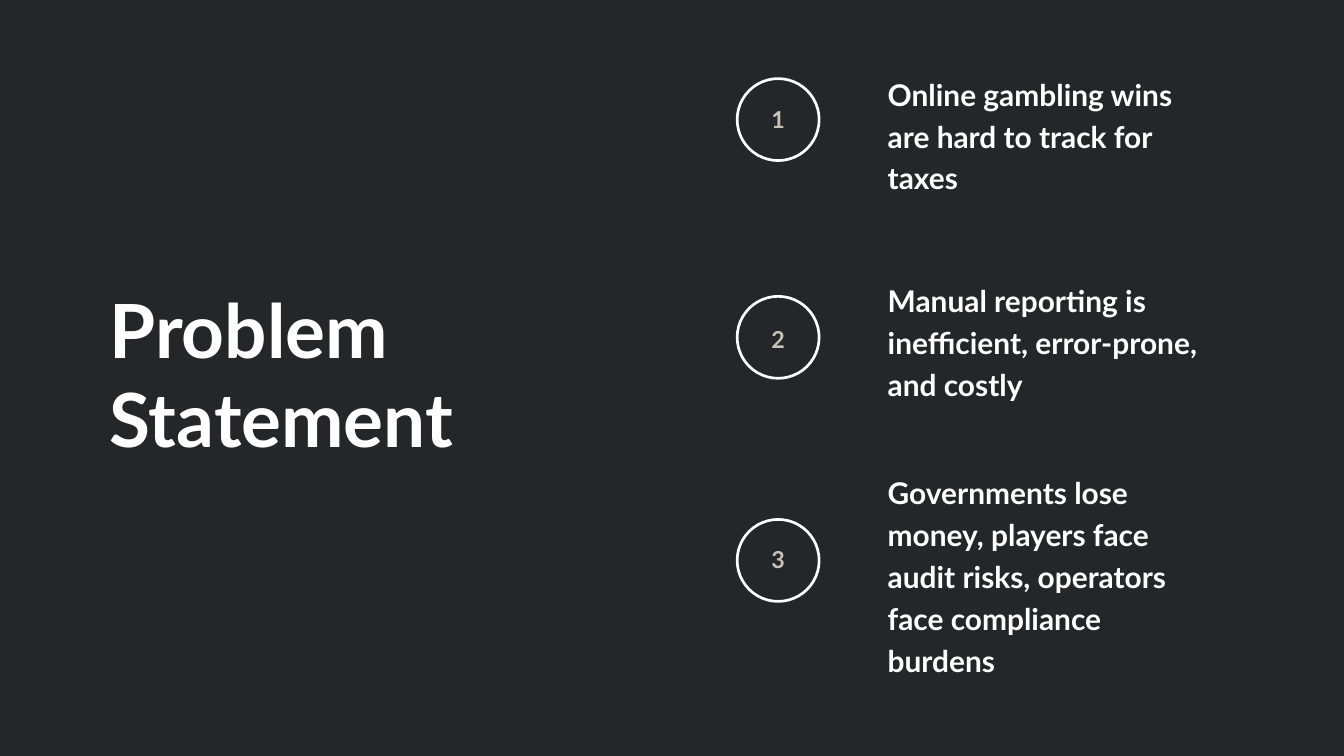
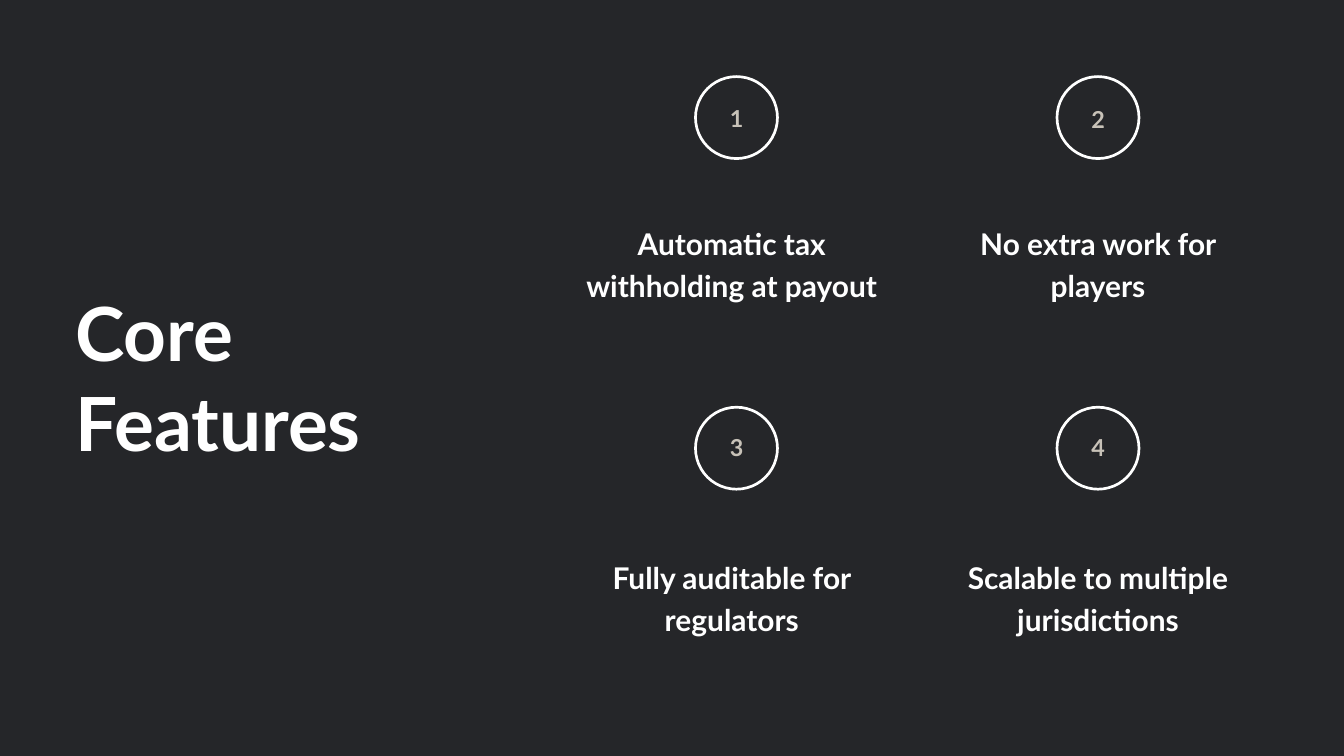
from pptx import Presentation
from pptx import util as u
from pptx.dml.color import RGBColor
from pptx.enum import shapes, text

COLORS = {"background": "252629", "main": "FFFFFF", "number": "C8C2B8"}
FONT = "Lato"
STYLES = {
    "title": {"size": 80, "leading": 96, "color": "main"},
    "statement": {"size": 32, "leading": 44.8, "color": "main"},
    "number": {"size": 25, "leading": 30, "color": "number"},
}
RING, RING_LINE = 1.26, 0.04
NUMBER_WIDTH, NUMBER_HEIGHT = 0.49, 0.43


def add_words(slide, words, style, left, top, width, height, align=text.PP_ALIGN.LEFT):
    look = STYLES[style]
    box = slide.shapes.add_textbox(u.Inches(left), u.Inches(top), u.Inches(width), u.Inches(height))
    frame = box.text_frame
    frame.word_wrap = True
    frame.auto_size = text.MSO_AUTO_SIZE.SHAPE_TO_FIT_TEXT
    frame.margin_left = frame.margin_top = frame.margin_right = frame.margin_bottom = 0
    paragraph = frame.paragraphs[0]
    paragraph.alignment = align
    paragraph.line_spacing = u.Pt(look["leading"])
    run = paragraph.add_run()
    run.text = words
    run.font.name = FONT
    run.font.size = u.Pt(look["size"])
    run.font.bold = True
    run.font.color.rgb = RGBColor.from_string(COLORS[look["color"]])


def add_badge(slide, number, left, top, number_top):
    ring = slide.shapes.add_shape(
        shapes.MSO_SHAPE.DONUT, u.Inches(left), u.Inches(top), u.Inches(RING), u.Inches(RING))
    ring.adjustments[0] = RING_LINE / RING
    ring.shadow.inherit = False
    ring.fill.solid()
    ring.fill.fore_color.rgb = RGBColor.from_string(COLORS["main"])
    ring.line.fill.background()
    add_words(slide, str(number), "number", left + (RING - NUMBER_WIDTH) / 2, number_top,
              NUMBER_WIDTH, NUMBER_HEIGHT, text.PP_ALIGN.CENTER)


deck = Presentation()
deck.slide_width = u.Inches(20)
deck.slide_height = u.Inches(11.25)
blank = deck.slide_layouts[6]
problem, features = [deck.slides.add_slide(blank) for _ in range(2)]
for slide in (problem, features):
    slide.background.fill.solid()
    slide.background.fill.fore_color.rgb = RGBColor.from_string(COLORS["background"])

add_words(problem, "Problem Statement", "title", 1.63, 4.22, 6.97, 2.69)
problems = [
    ("Online gambling wins are hard to track for taxes", 1.05, 1.83, 1.15, 1.57),
    ("Manual reporting is inefficient, error-prone, and costly", 4.12, 1.83, 4.39, 4.84),
    ("Governments lose money, players face audit risks, operators face compliance burdens",
     6.98, 3.06, 7.71, 8.12),
]
for number, (statement, top, height, ring_top, number_top) in enumerate(problems, 1):
    add_words(problem, statement, "statement", 13.21, top, 4.8, height)
    add_badge(problem, number, 10.95, ring_top, number_top)

add_words(features, "Core Features", "title", 1.12, 4.27, 5.74, 2.69)
columns = [(8.7, 10.33), (14.15, 15.71)]
rows = [(3.27, 1.12), (8.24, 6.04)]
feature_list = [
    ("Automatic tax withholding at payout", 1.55),
    ("No extra work for players", 1.57),
    ("Fully auditable for regulators", 6.44),
    ("Scalable to multiple jurisdictions", 6.44),
]
for index, (feature, number_top) in enumerate(feature_list):
    row, column = divmod(index, len(columns))
    left, ring_left = columns[column]
    top, ring_top = rows[row]
    add_words(features, feature, "statement", left, top, 4.38, 1.21, text.PP_ALIGN.CENTER)
    add_badge(features, index + 1, ring_left, ring_top, number_top)

deck.save("out.pptx")
